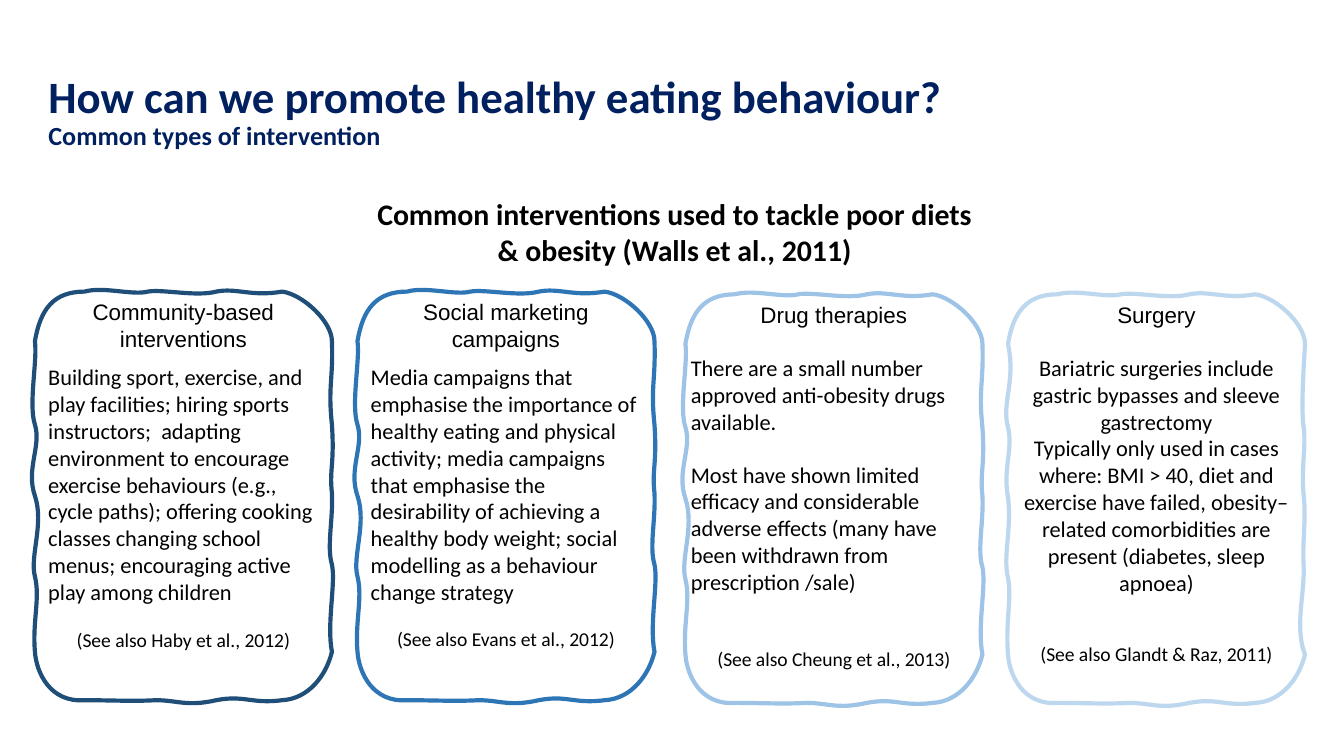
"""Build a slide on common ways to promote healthy eating."""
from dataclasses import dataclass

from lxml.etree import SubElement as Sub
from pptx import Presentation
from pptx.dml.color import RGBColor as Rgb
from pptx.enum.text import MSO_ANCHOR as Anchor, MSO_AUTO_SIZE as Fit, PP_ALIGN as Align
from pptx.oxml.ns import qn
from pptx.util import Pt

HUES = {
    "ink": "000000",
    "title": "002060",
    "town": "1F4E79",
    "media": "2E75B6",
    "drug": "9DC3E6",
    "knife": "BDD7EE",
}
WIDE, TALL = 159.12, 218.88
UNIT = 0.72
START = (0, 37)
TOP = [(4, 13, 14, 0, 37, 0), (51, -4, 73, 3, 84, 0), (95, -2, 120, 4, 135, 0),
       (150, -3, 161, 4, 184, 0), (199, 2, 221, 22, 221, 37)]
RIGHT = [(222, 66, 218, 70, 221, 99), (223, 129, 219, 132, 221, 150),
         (222, 169, 217, 190, 221, 203), (224, 217, 217, 247, 221, 268)]
BASE = [(217, 285, 204, 303, 184, 304), (161, 307, 156, 300, 135, 304),
        (113, 309, 106, 304, 90, 304), (74, 305, 55, 304, 37, 304),
        (11, 306, 1, 283, 0, 268)]
LEFT = [(-2, 246, 4, 228, 0, 212), (-4, 197, 7, 173, 0, 152),
        (-7, 132, 5, 115, 0, 99), (-5, 84, 2, 51, 0, 37)]
WAVY = TOP + RIGHT + BASE + LEFT
CALM = TOP + [
    (220, 56, 218, 84, 220, 99), (222, 113, 218, 130, 220, 149),
    (222, 168, 219, 182, 220, 202), (221, 222, 213, 248, 221, 268),
] + BASE + [
    (-2, 242, 3, 227, 0, 211), (-4, 195, 3, 174, 0, 151),
    (-4, 129, 4, 116, 0, 99), (-5, 81, 6, 65, 0, 37),
]


@dataclass
class Para:
    text: str
    size: float = 12
    font: str = "Calibri"
    hue: str = "ink"
    bold: bool = False
    align: Align = Align.LEFT
    gap: float = 0
    lead: float = 1


@dataclass
class Card:
    left: float
    top: float
    hue: str
    paras: list[Para]
    inset: float = 7.2
    curves: list[tuple] | None = None


def head(text: str) -> Para:
    return Para(text, font="Arial", align=Align.CENTER)


def cite(text: str, gap: float) -> Para:
    return Para(text, 10.5, align=Align.CENTER, gap=gap)


def write(frame, paras: list[Para], inset: float = 7.2, anchor: Anchor = Anchor.TOP) -> None:
    frame.word_wrap = True
    frame.auto_size = Fit.NONE
    frame.vertical_anchor = anchor
    frame.margin_left = frame.margin_right = Pt(inset)
    frame.margin_top = frame.margin_bottom = Pt(3.6)
    for spot, item in enumerate(paras):
        para = frame.add_paragraph() if spot else frame.paragraphs[0]
        para.alignment = item.align
        para.line_spacing = item.lead
        para.space_before = Pt(item.gap)
        para.space_after = Pt(0)
        run = para.add_run()
        run.text = item.text
        font = run.font
        font.name, font.size, font.bold = item.font, Pt(item.size), item.bold
        font.color.rgb = Rgb.from_string(HUES[item.hue])


def bend(shape, curves: list[tuple]) -> None:
    track = next(shape._element.iter(qn("a:path")))
    for node in list(track):
        track.remove(node)
    moves = [("a:moveTo", START)] + [("a:cubicBezTo", curve) for curve in curves]
    for tag, spots in moves:
        step = Sub(track, qn(tag))
        for x, y in zip(spots[::2], spots[1::2]):
            Sub(step, qn("a:pt"), x=str(Pt(x * UNIT)), y=str(Pt(y * UNIT)))
    Sub(track, qn("a:close"))


def draw(slide, card: Card) -> None:
    x, y = Pt(card.left), Pt(card.top)
    far, low = x + Pt(WIDE), y + Pt(TALL)
    pen = slide.shapes.build_freeform(x, y)
    pen.add_line_segments([(far, y), (far, low), (x, low)])
    shape = pen.convert_to_shape()
    bend(shape, card.curves or WAVY)
    shape.shadow.inherit = False
    shape.fill.background()
    shape.line.color.rgb = Rgb.from_string(HUES[card.hue])
    shape.line.width = Pt(2.25)
    write(shape.text_frame, card.paras, card.inset)


CARDS = [
    Card(18.72, 156.24, "town", [
        head("Community-based interventions"),
        Para("Building sport, exercise, and play facilities; hiring sports instructors;  "
             "adapting environment to encourage exercise behaviours (e.g., cycle paths); "
             "offering cooking classes changing school menus; encouraging active play "
             "among children", gap=6),
        cite("(See also Haby et al., 2012)", 12),
    ]),
    Card(191.52, 156.24, "media", [
        head("Social marketing campaigns"),
        Para("Media campaigns that emphasise the importance of healthy eating and physical "
             "activity; media campaigns that emphasise the desirability of achieving a "
             "healthy body weight; social modelling as a behaviour change strategy", gap=6),
        cite("(See also Evans et al., 2012)", 11.5),
    ]),
    Card(367.2, 157.68, "drug", [
        head("Drug therapies"),
        Para("There are a small number approved anti-obesity drugs available.", gap=14),
        Para("Most have shown limited efficacy and considerable adverse effects (many have "
             "been withdrawn from prescription /sale)", gap=14),
        cite("(See also Cheung et al., 2013)", 28),
    ], inset=2.88),
    Card(540, 157.68, "knife", [
        head("Surgery"),
        Para("Bariatric surgeries include gastric bypasses and sleeve gastrectomy",
             align=Align.CENTER, gap=14),
        Para("Typically only used in cases where: BMI > 40, diet and exercise have failed, "
             "obesity–related comorbidities are present (diabetes, sleep apnoea)",
             align=Align.CENTER),
        cite("(See also Glandt & Raz, 2011)", 24.5),
    ], curves=CALM),
]


def main() -> None:
    deck = Presentation()
    deck.slide_width, deck.slide_height = Pt(720), Pt(405)
    slide = deck.slides.add_slide(deck.slide_layouts[5])
    title = slide.shapes.title
    title.left, title.top, title.width, title.height = Pt(18.72), Pt(29.5), Pt(579.6), Pt(62)
    write(title.text_frame, [
        Para("How can we promote healthy eating behaviour?", 24, hue="title", bold=True, lead=0.9),
        Para("Common types of intervention", 14, hue="title", bold=True, lead=0.9),
    ], anchor=Anchor.MIDDLE)
    box = slide.shapes.add_textbox(Pt(191.52), Pt(101.5), Pt(340), Pt(50))
    write(box.text_frame, [
        Para("Common interventions used to tackle poor diets & obesity (Walls et al., 2011)",
             16, bold=True, align=Align.CENTER),
    ])
    for card in CARDS:
        draw(slide, card)
    deck.save("out.pptx")


if __name__ == "__main__":
    main()
